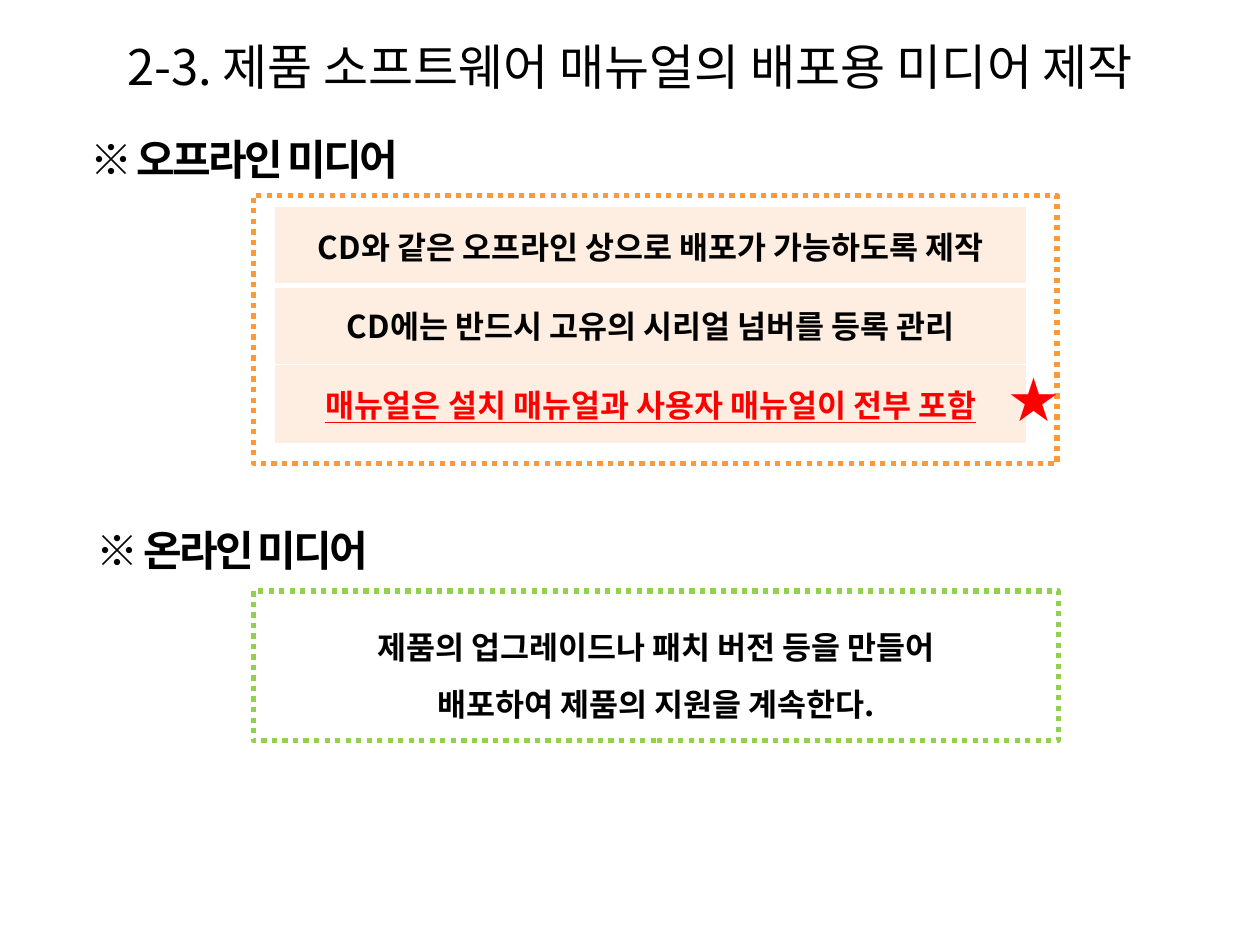
from dataclasses import dataclass

from lxml.etree import SubElement
from pptx import Presentation
from pptx.dml.color import RGBColor
from pptx.enum.dml import MSO_LINE_DASH_STYLE as Dash
from pptx.enum.shapes import MSO_SHAPE as Preset
from pptx.enum.text import MSO_ANCHOR as Anchor, MSO_AUTO_SIZE as AutoSize, PP_ALIGN as Align
from pptx.oxml import parse_xml
from pptx.oxml.ns import nsdecls, qn
from pptx.util import Inches, Pt


@dataclass(frozen=True)
class Theme:
    """Colours, font and type sizes of the slide."""
    font: str = "Noto Sans CJK KR"
    ink: str = "000000"
    accent: str = "FF0000"
    orange: str = "FF9933"
    green: str = "92D050"
    cell: str = "FDEADA"
    rule: str = "FFFFFF"
    title: int = 28
    heading: int = 24
    body: int = 18


THEME = Theme()


@dataclass(frozen=True)
class Box:
    """A rectangle in inches."""
    left: float
    top: float
    width: float
    height: float

    def lengths(self) -> tuple:
        """Return the rectangle as slide lengths."""
        return tuple(map(Inches, (self.left, self.top, self.width, self.height)))


@dataclass(frozen=True)
class Label:
    """A line of free text with its format."""
    text: str
    box: Box
    size: int = THEME.heading
    color: str = THEME.ink
    bold: bool = True
    spacing: int = -150
    wrap: bool = True


@dataclass(frozen=True)
class Frame:
    """A dotted outline with optional centred lines of text."""
    box: Box
    color: str
    lines: tuple = ()


@dataclass(frozen=True)
class Row:
    """A table row with its text format and lower border width."""
    text: str
    color: str = THEME.ink
    underline: bool = False
    bottom: int = 1


LABELS = (
    Label("※ 오프라인 미디어", Box(0.62, 1.01, 3.44, 0.5)),
    Label("※ 온라인 미디어", Box(0.67, 4.11, 2.76, 0.5)),
    Label("★", Box(7.91, 2.88, 0.59, 0.57), THEME.title, THEME.accent, False, 0, False),
)
FRAMES = (
    Frame(Box(2.01, 1.55, 6.38, 2.13), THEME.orange),
    Frame(Box(2.01, 4.69, 6.39, 1.19), THEME.green,
          ("제품의 업그레이드나 패치 버전 등을 만들어", "배포하여 제품의 지원을 계속한다.")),
)
ROWS = (
    Row("CD와 같은 오프라인 상으로 배포가 가능하도록 제작", bottom=3),
    Row("CD에는 반드시 고유의 시리얼 넘버를 등록 관리"),
    Row("매뉴얼은 설치 매뉴얼과 사용자 매뉴얼이 전부 포함", THEME.accent, True),
)


def apply(target, **values) -> None:
    """Set attributes from a dict of format values."""
    for name, value in values.items():
        setattr(target, name, value)


def write(para, text: str, size: int, color: str = THEME.ink, spacing: int = 0, **values) -> None:
    """Add one formatted span to a paragraph."""
    span = para.add_run()
    span.text = text
    apply(span.font, size=Pt(size), name=THEME.font, **values)
    span.font.color.rgb = RGBColor.from_string(color)
    props = span.font._element
    SubElement(props, qn("a:ea")).set("typeface", THEME.font)
    if spacing:
        props.set("spc", str(spacing))


def draw_title(page, text: str, box: Box) -> None:
    """Place and fill the title placeholder."""
    title = page.shapes.title
    apply(title, **dict(zip(("left", "top", "width", "height"), box.lengths())))
    title.text_frame.vertical_anchor = Anchor.MIDDLE
    para = title.text_frame.paragraphs[0]
    para.alignment = Align.CENTER
    write(para, text, THEME.title)


def draw_label(page, label: Label) -> None:
    """Draw a line of free text."""
    frame = page.shapes.add_textbox(*label.box.lengths()).text_frame
    apply(frame, word_wrap=label.wrap, auto_size=AutoSize.SHAPE_TO_FIT_TEXT)
    write(frame.paragraphs[0], label.text, label.size, label.color, label.spacing, bold=label.bold)


def draw_frame(page, frame: Frame) -> None:
    """Draw a dotted rectangle and its lines of text."""
    shape = page.shapes.add_shape(Preset.RECTANGLE, *frame.box.lengths())
    shape.shadow.inherit = False
    shape.fill.background()
    shape.line.color.rgb = RGBColor.from_string(frame.color)
    apply(shape.line, width=Pt(3), dash_style=Dash.ROUND_DOT)
    shape.text_frame.vertical_anchor = Anchor.MIDDLE
    for index, line in enumerate(frame.lines):
        text = shape.text_frame
        para = text.add_paragraph() if index else text.paragraphs[0]
        apply(para, alignment=Align.CENTER, line_spacing=1.5)
        write(para, line, THEME.body, bold=True)


def style_cell(cell, top: int, bottom: int) -> None:
    """Give a cell its translucent fill and its borders."""
    cell.fill.solid()
    cell.fill.fore_color.rgb = RGBColor.from_string(THEME.cell)
    props = cell._tc.get_or_add_tcPr()
    SubElement(props.find(".//" + qn("a:srgbClr")), qn("a:alpha")).set("val", "80000")
    widths = {"lnL": 1, "lnR": 1, "lnT": top, "lnB": bottom}
    for index, (side, width) in enumerate(widths.items()):
        props.insert(index, parse_xml(
            f'<a:{side} {nsdecls("a")} w="{Pt(width)}"><a:solidFill>'
            f'<a:srgbClr val="{THEME.rule}"/></a:solidFill></a:{side}>'))


def draw_table(page, rows: tuple, box: Box) -> None:
    """Draw a table of one column."""
    table = page.shapes.add_table(len(rows), 1, *box.lengths()).table
    top = 1
    for index, row in enumerate(rows):
        cell = table.cell(index, 0)
        style_cell(cell, top, row.bottom)
        cell.vertical_anchor = Anchor.MIDDLE
        para = cell.text_frame.paragraphs[0]
        para.alignment = Align.CENTER
        write(para, row.text, THEME.body, row.color, bold=True, underline=row.underline)
        top = row.bottom


def main() -> None:
    """Build and save the slide."""
    deck = Presentation()
    apply(deck, slide_width=Inches(10), slide_height=Inches(7.5))
    page = deck.slides.add_slide(deck.slide_layouts[5])
    draw_title(page, "2-3. 제품 소프트웨어 매뉴얼의 배포용 미디어 제작", Box(0.12, 0.05, 9.76, 0.94))
    for frame in FRAMES:
        draw_frame(page, frame)
    draw_table(page, ROWS, Box(2.18, 1.64, 5.97, 1.88))
    for label in LABELS:
        draw_label(page, label)
    deck.save("out.pptx")


if __name__ == "__main__":
    main()
